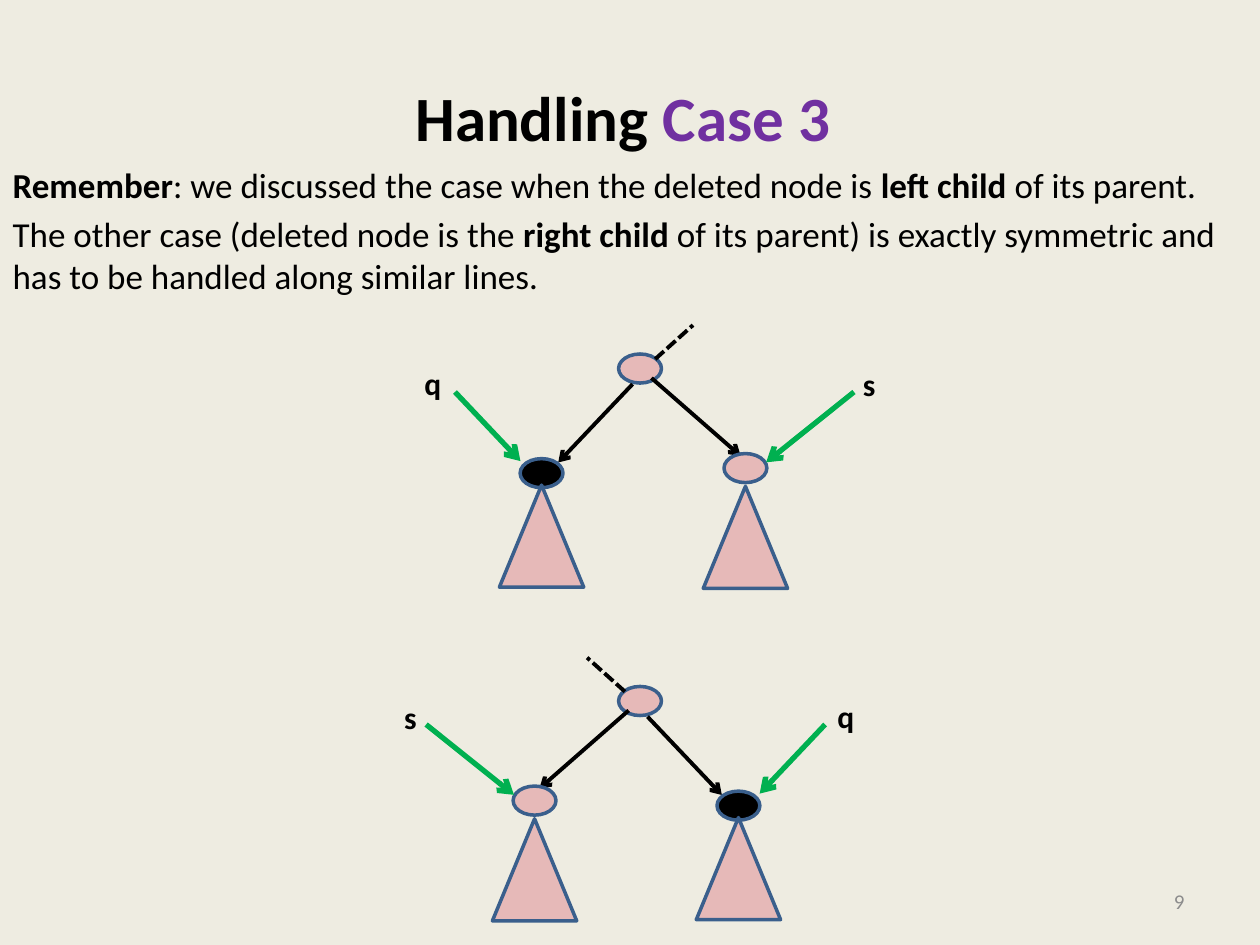
import lxml.etree
import pptx
import pptx.dml.color
import pptx.enum.dml
import pptx.enum.shapes
import pptx.enum.text
import pptx.oxml.ns
import pptx.util

Pt = pptx.util.Pt
Shape = pptx.enum.shapes.MSO_SHAPE
Align = pptx.enum.text.PP_ALIGN
Anchor = pptx.enum.text.MSO_ANCHOR
Fit = pptx.enum.text.MSO_AUTO_SIZE
qn = pptx.oxml.ns.qn

AXIS = 365.75
PINK, BLACK, BLUE, GREEN = "E6B9B8", "000000", "3A5F8C", "00B050"


def color(code):
    """Turn a hex string into a colour."""
    return pptx.dml.color.RGBColor.from_string(code)


def place(shape, left, top, width, height):
    """Move and size a shape in points."""
    shape.left, shape.top = Pt(left), Pt(top)
    shape.width, shape.height = Pt(width), Pt(height)


def write(para, parts, size):
    """Fill a paragraph with runs of text, weight and colour."""
    for text, bold, code in parts:
        run = para.add_run()
        run.text = text
        run.font.name = "Calibri"
        run.font.size = Pt(size)
        run.font.bold = bold
        run.font.color.rgb = color(code)


def title(slide):
    """Set the title."""
    shape = slide.shapes.title
    place(shape, 36, 21.6, 648, 90)
    frame = shape.text_frame
    frame.auto_size = Fit.NONE
    frame.vertical_anchor = Anchor.MIDDLE
    para = frame.paragraphs[0]
    para.alignment = Align.CENTER
    write(para, [("Handling ", True, BLACK), ("Case 3 ", True, "7030A0")], 36)


def body(slide, items):
    """Set the body as plain paragraphs without bullets."""
    shape = slide.placeholders[1]
    place(shape, 0, 90, 720, 392.4)
    frame = shape.text_frame
    frame.auto_size = Fit.NONE
    for i, parts in enumerate(items):
        para = frame.add_paragraph() if i else frame.paragraphs[0]
        para.space_before = Pt(4 if i else 0)
        props = para._p.get_or_add_pPr()
        props.set("marL", "0")
        props.set("indent", "0")
        lxml.etree.SubElement(props, qn("a:buNone"))
        write(para, [(text, bold, BLACK) for text, bold in parts], 20)


def label(slide, text, left, top, width, size=18, bold=True, code=BLACK, wrap=False):
    """Add a text box and return it."""
    box = slide.shapes.add_textbox(Pt(left), Pt(top), Pt(width), Pt(28.8))
    box.text_frame.word_wrap = wrap
    write(box.text_frame.paragraphs[0], [(text, bold, code)], size)
    return box


def solid(slide, kind, mid, top, width, height, fill):
    """Add an outlined shape centred on mid."""
    shape = slide.shapes.add_shape(
        kind, Pt(mid - width / 2), Pt(top), Pt(width), Pt(height))
    shape.shadow.inherit = False
    shape.fill.solid()
    shape.fill.fore_color.rgb = color(fill)
    shape.line.color.rgb = color(BLUE)
    shape.line.width = Pt(2)


def line(slide, start, end, code=BLACK, width=2.25, dash=False):
    """Add an arrow, or a dashed line without a head."""
    link = slide.shapes.add_connector(
        pptx.enum.shapes.MSO_CONNECTOR.STRAIGHT, *map(Pt, start + end))
    link.line.color.rgb = color(code)
    link.line.width = Pt(width)
    props = link._element.spPr
    if dash:
        link.line.dash_style = pptx.enum.dml.MSO_LINE.SQUARE_DOT
    else:
        tail = lxml.etree.SubElement(props.find(qn("a:ln")), qn("a:tailEnd"))
        tail.set("type", "arrow")
    lxml.etree.SubElement(props, qn("a:effectLst"))


def tree(slide, side, drop):
    """Draw the tree, mirrored about the axis when side is -1."""
    def at(x, y):
        return AXIS + side * x, y + drop

    def node(x, top, fill):
        solid(slide, Shape.OVAL, *at(x, top), 24.5, 16.6, fill)

    node(0, 202.3, PINK)
    line(slide, at(-4.25, 219.5), at(-46.75, 264.3))
    line(slide, at(8.65, 205.2), at(30.25, 185.8), dash=True)
    line(slide, at(6.5, 216), at(57.5, 260.6))
    for x, top, fill, peak in ((60.25, 259.2, PINK, 277.9),
                               (-56.25, 262.1, BLACK, 277.2)):
        node(x, top, fill)
        solid(slide, Shape.ISOSCELES_TRIANGLE, *at(x, peak), 48.2, 58.3, PINK)
    for text, mid, top, width, start, end in (
            ("q", -118, 204.5, 24.5, (-105.75, 224), (-68.35, 263.5)),
            ("s", 131, 205.2, 21.6, (122.25, 224), (72.05, 264.2))):
        line(slide, at(*start), at(*end), GREEN, 3)
        x, y = at(mid, top)
        label(slide, text, x - width / 2, y, width)


def main():
    """Build the slide."""
    deck = pptx.Presentation()
    deck.slide_width, deck.slide_height = Pt(720), Pt(540)
    slide = deck.slides.add_slide(deck.slide_layouts[1])
    slide.background.fill.solid()
    slide.background.fill.fore_color.rgb = color("EEECE1")
    title(slide)
    body(slide, [
        [("Remember", True),
         (": we discussed the case when the deleted node is ", False),
         ("left child ", True), ("of its parent.", False)],
        [("The other case (deleted node is the ", False),
         ("right child ", True),
         ("of its parent) is exactly symmetric and has to be handled "
          "along similar lines.", False)]])
    page = label(slide, "9", 516, 500.5, 168, 12, False, "8C8C8C", True)
    page.text_frame.vertical_anchor = Anchor.MIDDLE
    page.text_frame.paragraphs[0].alignment = Align.RIGHT
    tree(slide, 1, 0)
    tree(slide, -1, 190)
    deck.save("out.pptx")


if __name__ == "__main__":
    main()
